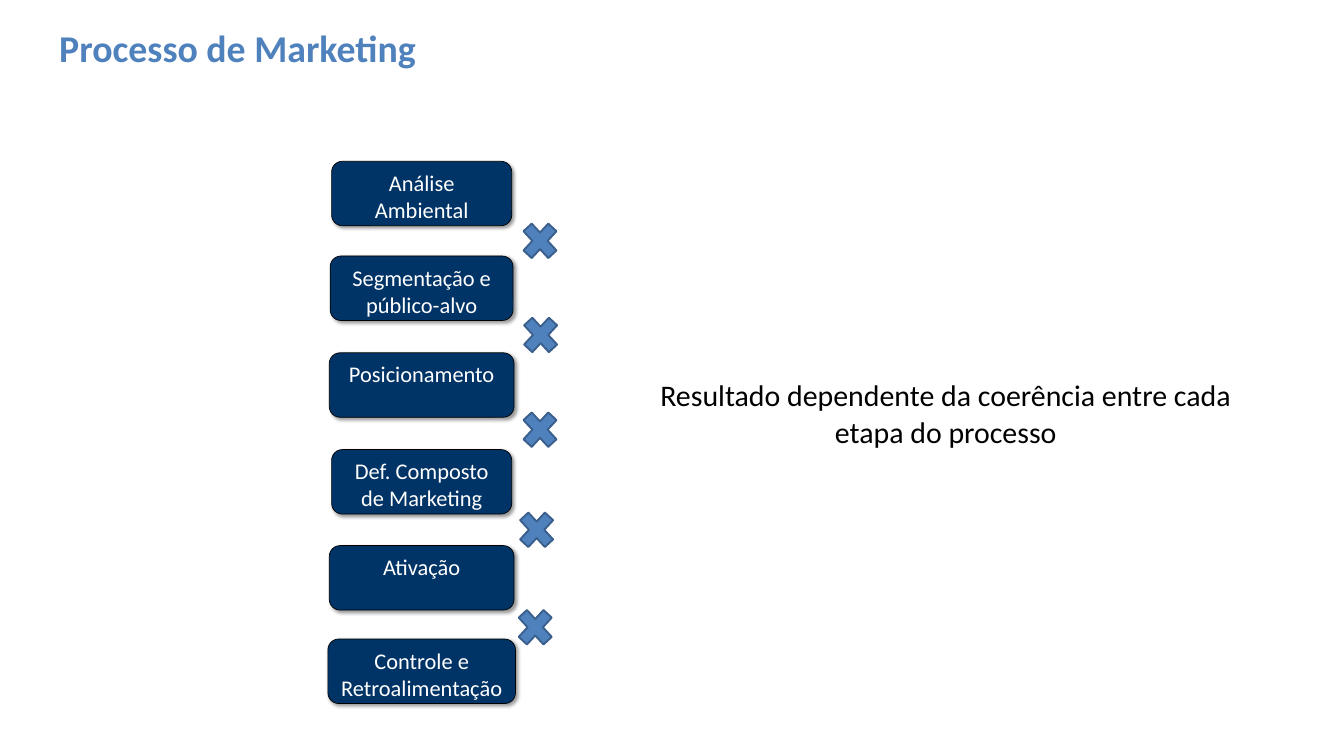
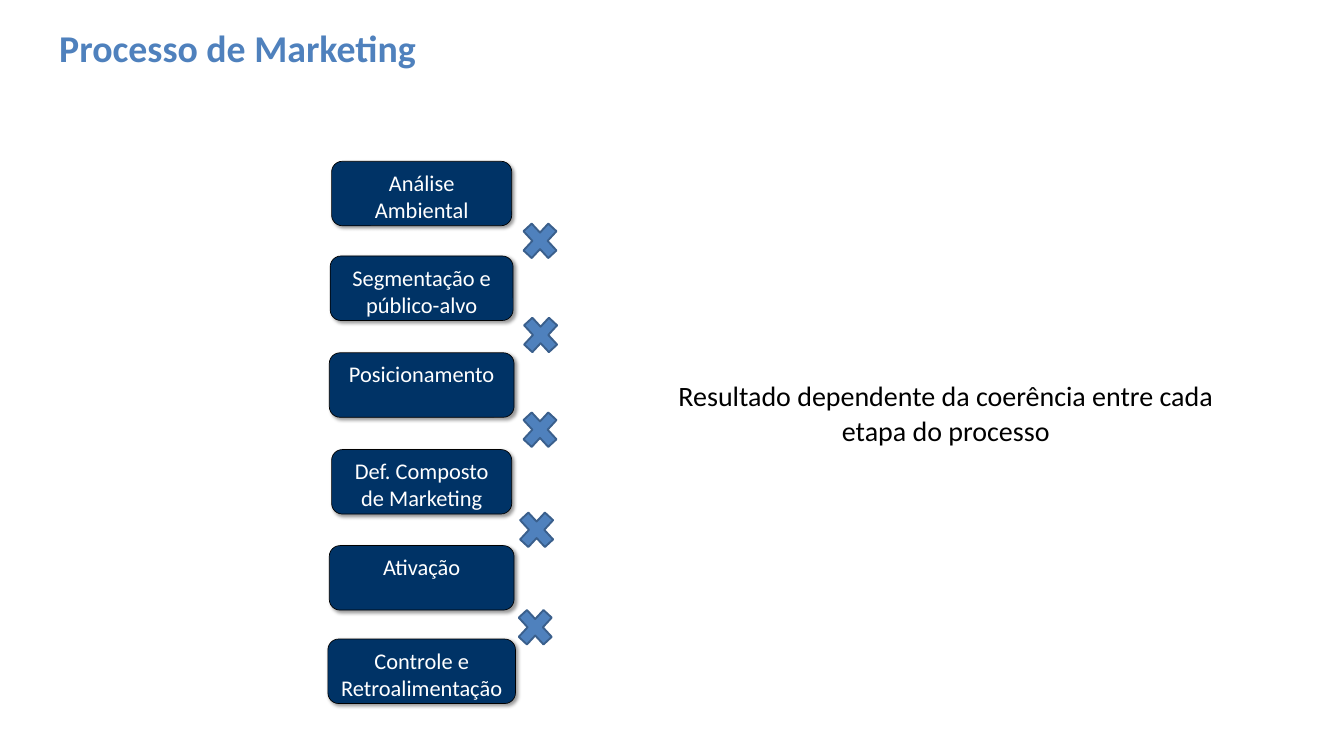
from lxml import etree
from pptx import Presentation
from pptx.dml.color import RGBColor
from pptx.enum.shapes import MSO_SHAPE
from pptx.enum.text import MSO_ANCHOR, MSO_AUTO_SIZE, PP_ALIGN
from pptx.oxml.ns import qn
from pptx.util import Pt

ROUNDED, CROSS = MSO_SHAPE.ROUNDED_RECTANGLE, MSO_SHAPE.MATH_MULTIPLY
LEFT, CENTER = PP_ALIGN.LEFT, PP_ALIGN.CENTER
TOP, MIDDLE = MSO_ANCHOR.TOP, MSO_ANCHOR.MIDDLE
FIXED, GROW = MSO_AUTO_SIZE.NONE, MSO_AUTO_SIZE.SHAPE_TO_FIT_TEXT

FONT = "Calibri"
NAVY, BLUE, DARK_BLUE = "003366", "4F81BD", "3A5F8C"
BLACK, WHITE = "000000", "FFFFFF"

TITLE_AND_CONTENT = 1
STEP_CENTER, STEP_HEIGHT = 451.8, 69.1
CROSS_WIDTH, CROSS_HEIGHT = 51.1, 55.4
CONCLUSION_MIDDLE = 441.8

# Text, top and width of each step
STEPS = [
    ("Análise Ambiental", 172.8, 193),
    ("Segmentação e público-alvo", 274.3, 196),
    ("Posicionamento", 378, 198),
    ("Def. Composto de Marketing", 481.7, 193),
    ("Ativação", 584.6, 198),
    ("Controle e Retroalimentação", 684.7, 201),
]
# Left and top of each multiplication sign between two steps
CROSSES = [(553, 230.4), (553.7, 331.2), (553, 432.7), (549.4, 540), (547.9, 644.4)]


def rgb(hex_color):
    return RGBColor.from_string(hex_color)


def place(shape, left, top, width, height):
    shape.left, shape.top = Pt(left), Pt(top)
    shape.width, shape.height = Pt(width), Pt(height)


def write(shape, text, *, size, color, bold=False, align=LEFT, anchor=MIDDLE,
          fit=FIXED, margins=(7.2, 3.6), spacing=1.0, after=0):
    frame = shape.text_frame
    frame.word_wrap = True
    frame.auto_size = fit
    frame.vertical_anchor = anchor
    frame.margin_left = frame.margin_right = Pt(margins[0])
    frame.margin_top = frame.margin_bottom = Pt(margins[1])
    frame.text = text
    paragraph = frame.paragraphs[0]
    paragraph.alignment = align
    paragraph.line_spacing = spacing
    paragraph.space_before, paragraph.space_after = Pt(0), Pt(after)
    font = paragraph.runs[0].font
    font.name, font.size, font.bold = FONT, Pt(size), bold
    font.color.rgb = rgb(color)


def remove_bullet(paragraph):
    properties = paragraph._p.get_or_add_pPr()
    properties.set("marL", "0")
    properties.set("indent", "0")
    etree.SubElement(properties, qn("a:buNone"))


def add_shadow(shape, blur=4, distance=3, angle=45, opacity=40):
    shape.shadow.inherit = False
    effects = shape._element.spPr.find(qn("a:effectLst"))
    shadow = etree.SubElement(
        effects, qn("a:outerShdw"), blurRad=str(Pt(blur)), dist=str(Pt(distance)),
        dir=str(angle * 60000), algn="ctr", rotWithShape="0")
    color = etree.SubElement(shadow, qn("a:srgbClr"), val=BLACK)
    etree.SubElement(color, qn("a:alpha"), val=str(opacity * 1000))


def add_figure(slide, preset, box, fill, line, line_width):
    figure = slide.shapes.add_shape(preset, *map(Pt, box))
    figure.shadow.inherit = False
    figure.fill.solid()
    figure.fill.fore_color.rgb = rgb(fill)
    figure.line.color.rgb = rgb(line)
    figure.line.width = Pt(line_width)
    return figure


def add_step(slide, text, top, width):
    box = (STEP_CENTER - width / 2, top, width, STEP_HEIGHT)
    step = add_figure(slide, ROUNDED, box, NAVY, BLACK, 0.75)
    add_shadow(step)
    write(step, text, size=24, color=WHITE, align=CENTER, anchor=TOP,
          margins=(10.8, 5))


def add_cross(slide, left, top):
    add_figure(slide, CROSS, (left, top, CROSS_WIDTH, CROSS_HEIGHT),
               BLUE, DARK_BLUE, 2)


def set_title(slide, text):
    title = slide.shapes.title
    place(title, 56.2, 25.2, 982.8, 51.1)
    write(title, text, size=40.5, color=BLUE, bold=True)


def set_conclusion(slide, text, size, height):
    conclusion = slide.placeholders[1]
    place(conclusion, 694.8, CONCLUSION_MIDDLE - height / 2, 637.2, height)
    write(conclusion, text, size=size, color=BLACK, align=CENTER, fit=GROW,
          spacing=1.05, after=6.8)
    remove_bullet(conclusion.text_frame.paragraphs[0])


def add_process_slide(deck, conclusion_size, conclusion_height):
    slide = deck.slides.add_slide(deck.slide_layouts[TITLE_AND_CONTENT])
    set_title(slide, "Processo de Marketing")
    for step in STEPS:
        add_step(slide, *step)
    for cross in CROSSES:
        add_cross(slide, *cross)
    set_conclusion(
        slide, "Resultado dependente da coerência entre cada etapa do processo",
        conclusion_size, conclusion_height)


def main():
    deck = Presentation()
    deck.slide_width, deck.slide_height = Pt(1440), Pt(810)
    add_process_slide(deck, conclusion_size=32, conclusion_height=87.1)
    add_process_slide(deck, conclusion_size=30, conclusion_height=82.1)
    deck.save("out.pptx")


if __name__ == "__main__":
    main()
